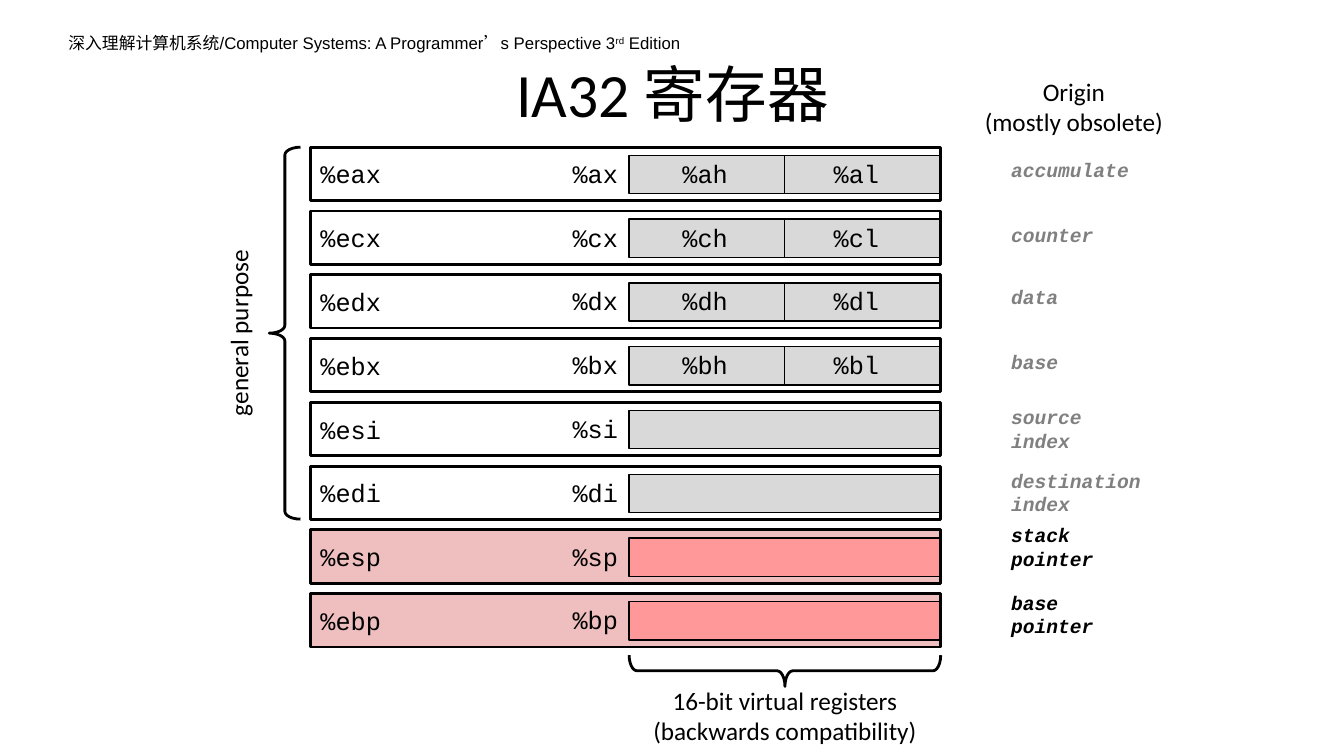
from lxml import etree
from pptx import Presentation
from pptx.dml.color import RGBColor
from pptx.enum.lang import MSO_LANGUAGE_ID
from pptx.enum.shapes import MSO_CONNECTOR, MSO_SHAPE
from pptx.enum.text import MSO_ANCHOR, PP_ALIGN
from pptx.oxml.ns import qn
from pptx.util import Inches, Pt

COLORS = {"black": "000000", "white": "FFFFFF", "gray": "D9D9D9",
          "muted": "808080", "pink": "EFBFBF", "red": "FF9999"}
SANS = {"name": "Calibri", "size": Pt(18)}
MONO = {"name": "Courier New", "size": Pt(18)}
ORIGIN = {"name": "Courier New", "size": Pt(14), "bold": True, "italic": True}
TITLE = {"name": "Calibri", "size": Pt(44)}
HEADER = {"name": "Arial", "size": Pt(12),
          "language_id": MSO_LANGUAGE_ID.SIMPLIFIED_CHINESE}


class SlideBuilder:
    def __init__(self, slide):
        self.s = slide

    def color(self, name):
        return RGBColor.from_string(COLORS[name])

    def run(self, p, text, style, color="black"):
        r = p.add_run()
        r.text = text
        for key, value in style.items():
            setattr(r.font, key, value)
        r.font.color.rgb = self.color(color)
        return r

    def fill_text(self, tf, lines, style, color="black", align=PP_ALIGN.LEFT):
        for i, line in enumerate(lines):
            p = tf.paragraphs[0] if i == 0 else tf.add_paragraph()
            p.alignment = align
            self.run(p, line, style, color)

    def text(self, x, y, w, h, lines, style, color="black",
             align=PP_ALIGN.LEFT, wrap=False, rotation=0):
        sp = self.s.shapes.add_textbox(*map(Inches, (x, y, w, h)))
        sp.rotation = rotation
        sp.text_frame.word_wrap = wrap
        self.fill_text(sp.text_frame, lines, style, color, align)
        return sp

    def shape(self, kind, x, y, w, h, weight, fill=None, rotation=0):
        sp = self.s.shapes.add_shape(kind, *map(Inches, (x, y, w, h)))
        sp.shadow.inherit = False
        sp.rotation = rotation
        if fill:
            sp.fill.solid()
            sp.fill.fore_color.rgb = self.color(fill)
        else:
            sp.fill.background()
        sp.line.color.rgb = self.color("black")
        sp.line.width = Pt(weight)
        return sp

    def box(self, x, y, w, h, weight, fill, label=None):
        sp = self.shape(MSO_SHAPE.RECTANGLE, x, y, w, h, weight, fill)
        if label:
            sp.text_frame.vertical_anchor = MSO_ANCHOR.MIDDLE
            self.fill_text(sp.text_frame, [label], MONO)
        return sp

    def brace(self, x, y, w, h, rotation):
        sp = self.shape(MSO_SHAPE.RIGHT_BRACE, x, y, w, h, 2, rotation=rotation)
        sp.adjustments[0] = 0.25
        sp.adjustments[1] = 0.5

    def divider(self, sp):
        mid = sp.left + sp.width // 2
        line = self.s.shapes.add_connector(
            MSO_CONNECTOR.STRAIGHT, mid, sp.top, mid, sp.top + sp.height)
        line.begin_connect(sp, 0)
        line.end_connect(sp, 2)
        line.line.color.rgb = self.color("black")
        line.line.width = Pt(1)
        etree.SubElement(line._element.spPr, qn("a:effectLst"))


# Letters of the register, halves, origin lines, top of the origin label
REGISTERS = [
    ("ax", ("ah", "al"), ["accumulate"], 1.52),
    ("cx", ("ch", "cl"), ["counter"], 2.16),
    ("dx", ("dh", "dl"), ["data"], 2.78),
    ("bx", ("bh", "bl"), ["base"], 3.42),
    ("si", (), ["source", "index"], 3.97),
    ("di", (), ["destination", "index"], 4.6),
    ("sp", (), ["stack", "pointer"], 5.14),
    ("bp", (), ["base", "pointer"], 5.81),
]
TOP, PITCH = 1.46, (5.89 - 1.46) / 7
HALF_LEFTS = (6.67, 8.17)


def main():
    prs = Presentation()
    prs.slide_width, prs.slide_height = Inches(13.33), Inches(7.5)
    b = SlideBuilder(prs.slides.add_slide(prs.slide_layouts[6]))

    # Header and title
    header = b.text(0.58, 0.28, 6.28, 0.3,
                    ["深入理解计算机系统/Computer Systems: A Programmer’s Perspective 3"],
                    HEADER, wrap=True)
    p = header.text_frame.paragraphs[0]
    b.run(p, "rd", HEADER).font._element.set("baseline", "30000")
    b.run(p, " Edition", HEADER)
    title = b.text(0.67, 0.3, 12, 1.25, ["IA32 寄存器"], TITLE,
                   align=PP_ALIGN.CENTER, wrap=True)
    title.text_frame.vertical_anchor = MSO_ANCHOR.MIDDLE

    # Register rows
    for i, (name, halves, origin, origin_top) in enumerate(REGISTERS):
        y = TOP + i * PITCH
        pointer = name in ("sp", "bp")
        b.box(3.08, y, 6.25, 0.53, 2, "pink" if pointer else "white", f"%e{name}")
        low = b.box(6.24, y + 0.08, 3.08, 0.38, 1, "red" if pointer else "gray")
        b.text(5.58, y + 0.06, 0.65, 0.4, [f"%{name}"], MONO)
        if halves:
            b.divider(low)
        for x, half in zip(HALF_LEFTS, halves):
            b.text(x, y + 0.06, 0.65, 0.4, [f"%{half}"], MONO)
        width = 0.2 + 0.117 * max(map(len, origin))
        b.text(9.93, origin_top, width, 0.34 if len(origin) == 1 else 0.57,
               origin, ORIGIN, "black" if pointer else "muted")

    # Braces and captions
    b.brace(7.63, 5.11, 0.31, 3.09, 90)
    b.text(6.33, 6.75, 2.91, 0.71,
           ["16-bit virtual registers", "(backwards compatibility)"],
           SANS, align=PP_ALIGN.CENTER)
    b.brace(2.67, 1.46, 0.31, 3.69, 180)
    b.text(1.42, 3.08, 1.89, 0.4, ["general purpose"], SANS, rotation=270)
    b.text(9.64, 0.71, 2.02, 0.71, ["Origin", "(mostly obsolete)"],
           SANS, align=PP_ALIGN.CENTER)

    prs.save("out.pptx")


if __name__ == "__main__":
    main()
